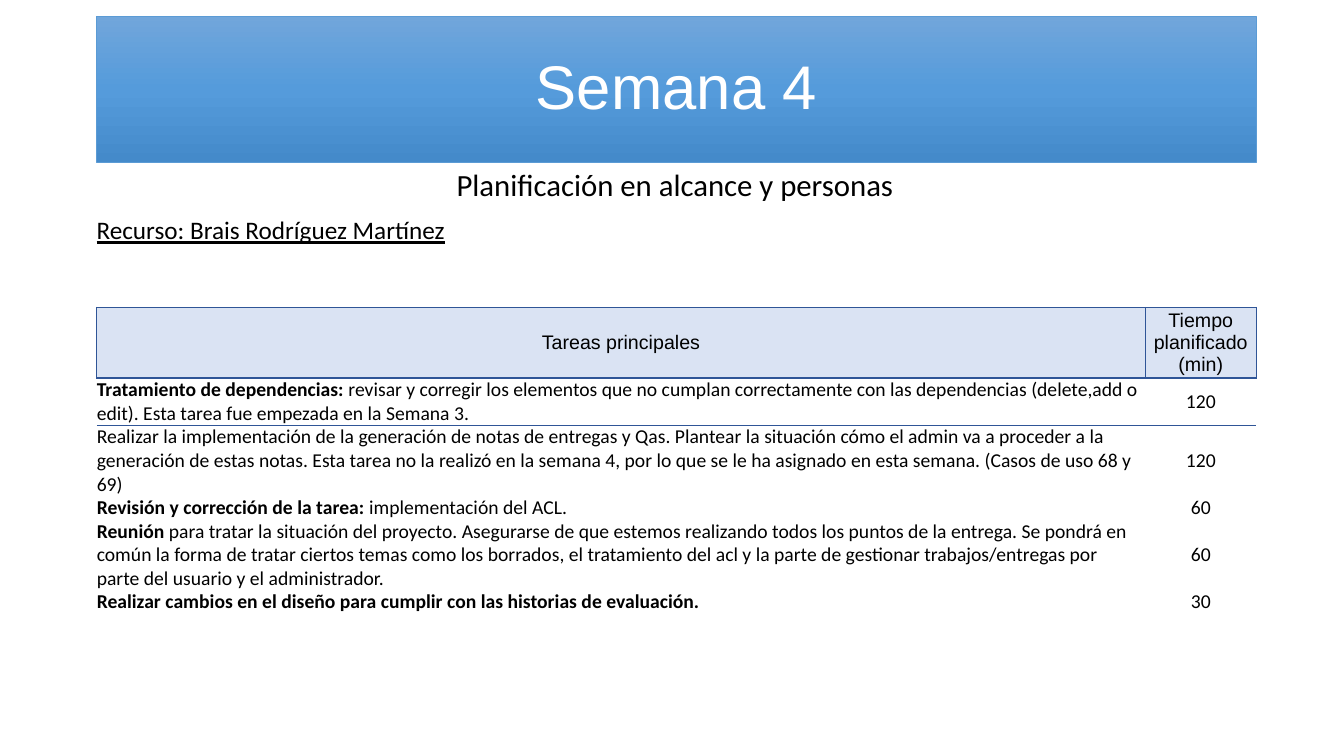
from lxml.etree import SubElement
from pptx import Presentation
from pptx.dml.color import RGBColor
from pptx.enum.text import MSO_ANCHOR, PP_ALIGN
from pptx.oxml import parse_xml
from pptx.oxml.ns import nsdecls, qn
from pptx.util import Inches, Pt

TITLE = "Semana 4"
LABELS = [
    ("Planificación en alcance y personas", (4.43, 1.6, 4.57, 0.47), 22, False),
    ("Recurso: Brais Rodríguez Martínez", (0.86, 2.08, 3.67, 0.4), 18, True),
]
HEADINGS = ("Tareas principales", "Tiempo planificado (min)")
# bold lead, plain text, minutes, lines of text
TASKS = [
    ("Tratamiento de dependencias: ",
     "revisar y corregir los elementos que no cumplan correctamente con las "
     "dependencias (delete,add o edit). Esta tarea fue empezada en la Semana 3.",
     "120", 2),
    ("",
     "Realizar la implementación de la generación de notas de entregas y Qas. "
     "Plantear la situación cómo el admin va a proceder a la generación de estas "
     "notas. Esta tarea no la realizó en la semana 4, por lo que se le ha asignado "
     "en esta semana. (Casos de uso 68 y 69)",
     "120", 3),
    ("Revisión y corrección de la tarea:", " implementación del ACL.", "60", 1),
    ("Reunión ",
     "para tratar la situación del proyecto. Asegurarse de que estemos realizando "
     "todos los puntos de la entrega. Se pondrá en común la forma de tratar ciertos "
     "temas como los borrados, el tratamiento del acl y la parte de gestionar "
     "trabajos/entregas por parte del usuario y el administrador.",
     "60", 3),
    ("Realizar cambios en el diseño para cumplir con las historias de evaluación.",
     "", "30", 1),
]
LEFT, WIDTH = 0.96, 11.5
COLUMNS = (10.4, 1.1)
HEADER_HEIGHT, LINE_HEIGHT = 0.7, 0.23
GRADIENT = [(0, "71A6DB"), (50, "559BDB"), (100, "448ACA")]
BORDER = "2F5597"
NO_STYLE = "{2D5ABB26-0587-4C30-8999-92F81FD0307C}"


def color(value):
    return RGBColor.from_string(value)


def add_span(para, text, size=14, font="Calibri", fill="000000", bold=False,
             underline=False):
    span = para.add_run()
    span.text = text
    span.font.size, span.font.name = Pt(size), font
    span.font.bold, span.font.underline = bold, underline
    span.font.color.rgb = color(fill)


def place(shape, left, top, width, height):
    shape.left, shape.top = Inches(left), Inches(top)
    shape.width, shape.height = Inches(width), Inches(height)


def fill_gradient(shape, stops):
    """Vertical gradient with any number of stops."""
    marks = "".join(f'<a:gs pos="{position * 1000}"><a:srgbClr val="{value}"/></a:gs>'
                    for position, value in stops)
    gradient = parse_xml(f'<a:gradFill {nsdecls("a")} rotWithShape="1"><a:gsLst>{marks}'
                         '</a:gsLst><a:lin ang="5400000" scaled="0"/></a:gradFill>')
    shape.fill.background()
    blank = shape._element.spPr.find(qn("a:noFill"))
    blank.getparent().replace(blank, gradient)


def set_borders(cell, sides):
    properties = cell._tc.get_or_add_tcPr()
    for index, side in enumerate(sides):
        line = parse_xml(f'<a:ln{side} {nsdecls("a")} w="12700"><a:solidFill>'
                         f'<a:srgbClr val="{BORDER}"/></a:solidFill></a:ln{side}>')
        properties.insert(index, line)


def fill_cell(cell, *spans, centered=False, back=None, borders="", font="Calibri"):
    cell.margin_left = cell.margin_right = cell.margin_top = cell.margin_bottom = 0
    cell.vertical_anchor = MSO_ANCHOR.MIDDLE
    para = cell.text_frame.paragraphs[0]
    para.alignment = PP_ALIGN.CENTER if centered else PP_ALIGN.LEFT
    for text, bold in spans:
        if text:
            add_span(para, text, font=font, bold=bold)
    if back:
        cell.fill.solid()
        cell.fill.fore_color.rgb = color(back)
    else:
        cell.fill.background()
    set_borders(cell, borders)


def add_title(page):
    title = page.shapes.title
    place(title, LEFT, 0.16, WIDTH, 1.45)
    fill_gradient(title, GRADIENT)
    title.line.color.rgb = color("5B9BD5")
    title.line.width = Pt(0.5)
    title.text_frame.vertical_anchor = MSO_ANCHOR.MIDDLE
    para = title.text_frame.paragraphs[0]
    para.alignment, para.line_spacing = PP_ALIGN.CENTER, 0.9
    add_span(para, TITLE, size=44, font="Arial", fill="FFFFFF")


def add_label(page, text, position, size, underline):
    box = page.shapes.add_textbox(*map(Inches, position))
    box.text_frame.word_wrap = True
    add_span(box.text_frame.paragraphs[0], text, size=size, underline=underline)


def add_tasks(page):
    heights = [HEADER_HEIGHT] + [LINE_HEIGHT * task[3] for task in TASKS]
    frame = page.shapes.add_table(len(heights), len(COLUMNS), Inches(LEFT), Inches(3.05),
                                  Inches(WIDTH), Inches(sum(heights)))
    table = frame.table
    table.first_row = table.horz_banding = False
    properties = table._tbl.tblPr
    style = properties.find(qn("a:tableStyleId"))
    if style is None:
        style = SubElement(properties, qn("a:tableStyleId"))
    style.text = NO_STYLE
    for column, width in zip(table.columns, COLUMNS):
        column.width = Inches(width)
    for row, height in zip(table.rows, heights):
        row.height = Inches(height)
    for index, heading in enumerate(HEADINGS):
        fill_cell(table.cell(0, index), (heading, False), centered=True,
                  back="DAE3F3", borders="LRTB", font="Arial")
    for index, (lead, text, minutes, _) in enumerate(TASKS, 1):
        borders = "T" if index == 1 else ""
        fill_cell(table.cell(index, 0), (lead, True), (text, False), borders=borders)
        fill_cell(table.cell(index, 1), (minutes, False), centered=True, borders=borders)


def main():
    deck = Presentation()
    deck.slide_width, deck.slide_height = Inches(13.33), Inches(7.5)
    page = deck.slides.add_slide(deck.slide_layouts[5])
    add_title(page)
    for label in LABELS:
        add_label(page, *label)
    add_tasks(page)
    deck.save("out.pptx")


if __name__ == "__main__":
    main()
